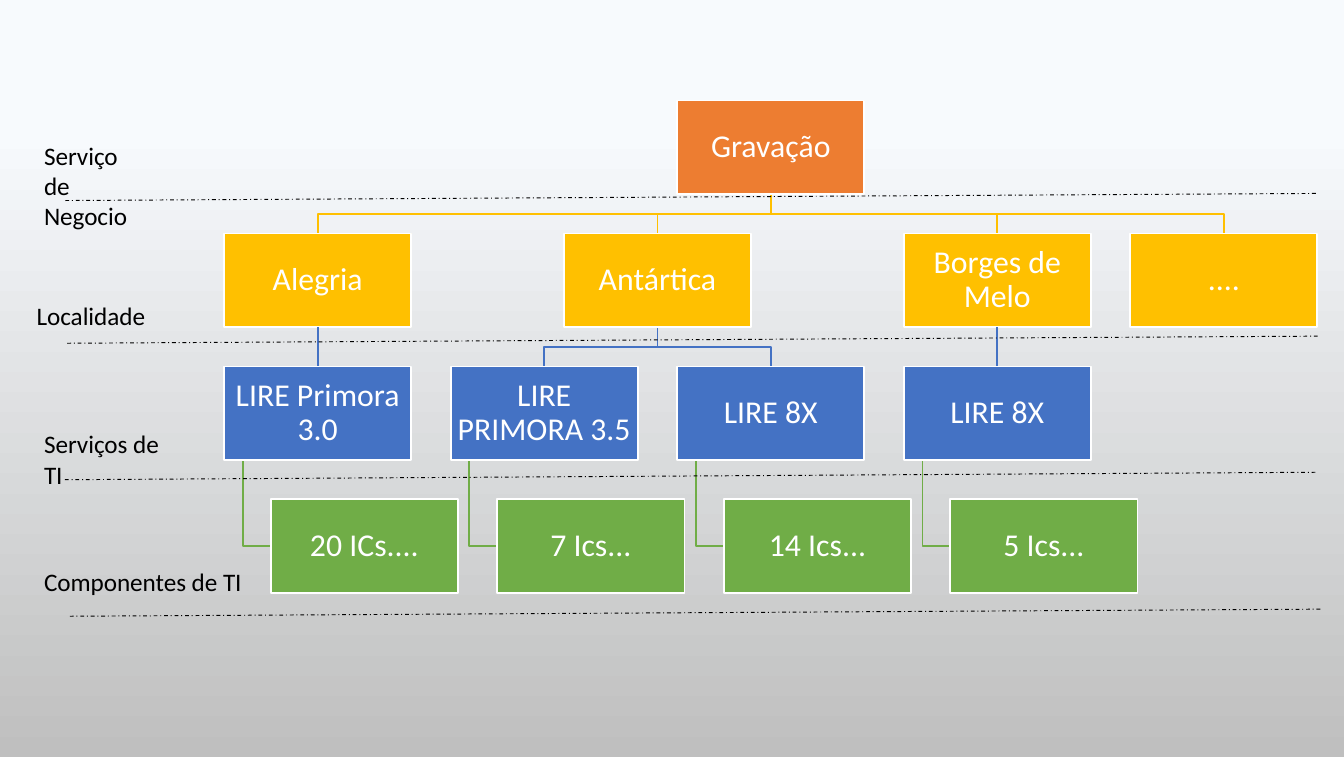
from lxml import etree
from pptx import Presentation
from pptx.dml.color import RGBColor
from pptx.enum.dml import MSO_LINE
from pptx.enum.shapes import MSO_CONNECTOR, MSO_SHAPE
from pptx.enum.text import MSO_ANCHOR, MSO_AUTO_SIZE, PP_ALIGN
from pptx.oxml.ns import qn
from pptx.util import Pt

STRAIGHT = MSO_CONNECTOR.STRAIGHT
RECTANGLE = MSO_SHAPE.RECTANGLE
DASH_DOT = MSO_LINE.DASH_DOT
MIDDLE, TOP = MSO_ANCHOR.MIDDLE, MSO_ANCHOR.TOP
CENTER, LEFT = PP_ALIGN.CENTER, PP_ALIGN.LEFT
GROW = MSO_AUTO_SIZE.SHAPE_TO_FIT_TEXT

COLORS = {
    "business": "ED7D31", "location": "FFC000", "service": "4472C4",
    "component": "70AD47", "white": "FFFFFF", "black": "000000",
    "sky": "F7FAFD", "ground": "BFBFBF",
}
COLORS = {role: RGBColor.from_string(value) for role, value in COLORS.items()}

BOX_W, BOX_H = 100.3, 50.2
GRID_LEFT, GRID_TOP = 120.1, 53.8
COLUMN_STEP, ROW_STEP = 121.35, 71.2
COMPONENT_INDENT, SPINE_INDENT = 25, 10


def write(frame, text, size, color, align=LEFT, anchor=TOP, spacing=1.0):
    frame.word_wrap = True
    frame.vertical_anchor = anchor
    paragraph = frame.paragraphs[0]
    paragraph.text = text
    paragraph.alignment = align
    paragraph.line_spacing = spacing
    paragraph.font.name = "Calibri"
    paragraph.font.size = Pt(size)
    paragraph.font.color.rgb = COLORS[color]


def draw_line(start, end, color, width):
    line = slide.shapes.add_connector(STRAIGHT, *map(Pt, start + end))
    line.line.color.rgb = COLORS[color]
    line.line.width = Pt(width)
    etree.SubElement(line._element.spPr, qn("a:effectLst"))
    return line


prs = Presentation()
prs.slide_width, prs.slide_height = Pt(720), Pt(405.36)
slide = prs.slides.add_slide(prs.slide_layouts[6])

backdrop = slide.background.fill
backdrop.gradient()
backdrop.gradient_angle = 270
for stop, (position, color) in zip(backdrop.gradient_stops, [(0.17, "sky"), (1, "ground")]):
    stop.position = position
    stop.color.rgb = COLORS[color]

levels = [
    ("business", 0, [(2, "Gravação")]),
    ("location", 0, [(0, "Alegria"), (1.5, "Antártica"), (3, "Borges de Melo"), (4, "....")]),
    ("service", 0, [(0, "LIRE Primora 3.0"), (1, "LIRE PRIMORA 3.5"), (2, "LIRE 8X"), (3, "LIRE 8X")]),
    ("component", COMPONENT_INDENT, [(0, "20 ICs...."), (1, "7 Ics..."), (2, "14 Ics..."), (3, "5 Ics...")]),
]

branches = []
for level, parent, children, color in [
    (0, 2, [0, 1.5, 3, 4], "location"),
    (1, 1.5, [1, 2], "service"),
]:
    parent_x = GRID_LEFT + parent * COLUMN_STEP + BOX_W / 2
    start_y = GRID_TOP + level * ROW_STEP + BOX_H
    end_y = GRID_TOP + (level + 1) * ROW_STEP
    bend_y = (start_y + end_y) / 2
    for child in children:
        child_x = GRID_LEFT + child * COLUMN_STEP + BOX_W / 2
        branches.append((color, [(parent_x, start_y), (parent_x, bend_y), (child_x, bend_y), (child_x, end_y)]))

for column in range(4):
    service_left = GRID_LEFT + column * COLUMN_STEP
    spine_x = service_left + SPINE_INDENT
    service_bottom = GRID_TOP + 2 * ROW_STEP + BOX_H
    component_middle = GRID_TOP + 3 * ROW_STEP + BOX_H / 2
    branches.append(("component", [
        (spine_x, service_bottom), (spine_x, component_middle),
        (service_left + COMPONENT_INDENT, component_middle),
    ]))

for color, points in branches:
    start, *rest = [(Pt(x), Pt(y)) for x, y in points]
    outline = slide.shapes.build_freeform(*start, scale=1.0)
    outline.add_line_segments(rest, close=False)
    branch = outline.convert_to_shape()
    branch.shadow.inherit = False
    branch.fill.background()
    branch.line.color.rgb = COLORS[color]
    branch.line.width = Pt(1)

boxes = {}
for row, (level, indent, entries) in enumerate(levels):
    for column, text in entries:
        box = slide.shapes.add_shape(
            RECTANGLE, Pt(GRID_LEFT + column * COLUMN_STEP + indent),
            Pt(GRID_TOP + row * ROW_STEP), Pt(BOX_W), Pt(BOX_H))
        box.shadow.inherit = False
        box.fill.solid()
        box.fill.fore_color.rgb = COLORS[level]
        box.line.color.rgb = COLORS["white"]
        box.line.width = Pt(1)
        frame = box.text_frame
        frame.margin_left = frame.margin_right = frame.margin_top = frame.margin_bottom = Pt(0.85)
        write(frame, text, 17, "white", align=CENTER, anchor=MIDDLE, spacing=0.9)
        boxes[row, column] = box

for column in (0, 3):
    link = draw_line((0, 0), (0, 0), "service", 1)
    link.begin_connect(boxes[1, column], 2)
    link.end_connect(boxes[2, column], 0)

for left, start_y, right, end_y in [
    (35, 107.4, 705.5, 103.6),
    (36, 183.8, 706.3, 180),
    (34.8, 256.9, 705.5, 252.9),
    (37.4, 330, 708.2, 326.2),
]:
    divider = draw_line((left, start_y), (right, end_y), "black", 0.5)
    divider.line.dash_style = DASH_DOT

for text, left, top, width, height in [
    ("Serviço de Negocio", 16.5, 71.6, 68.4, 56),
    ("Localidade", 12.5, 157.3, 77.8, 24),
    ("Serviços de TI", 16.5, 226, 87.8, 40),
    ("Componentes de TI", 16.5, 299.8, 128.2, 24),
]:
    label = slide.shapes.add_textbox(Pt(left), Pt(top), Pt(width), Pt(height))
    label.text_frame.auto_size = GROW
    write(label.text_frame, text, 13.5, "black")

prs.save("out.pptx")
